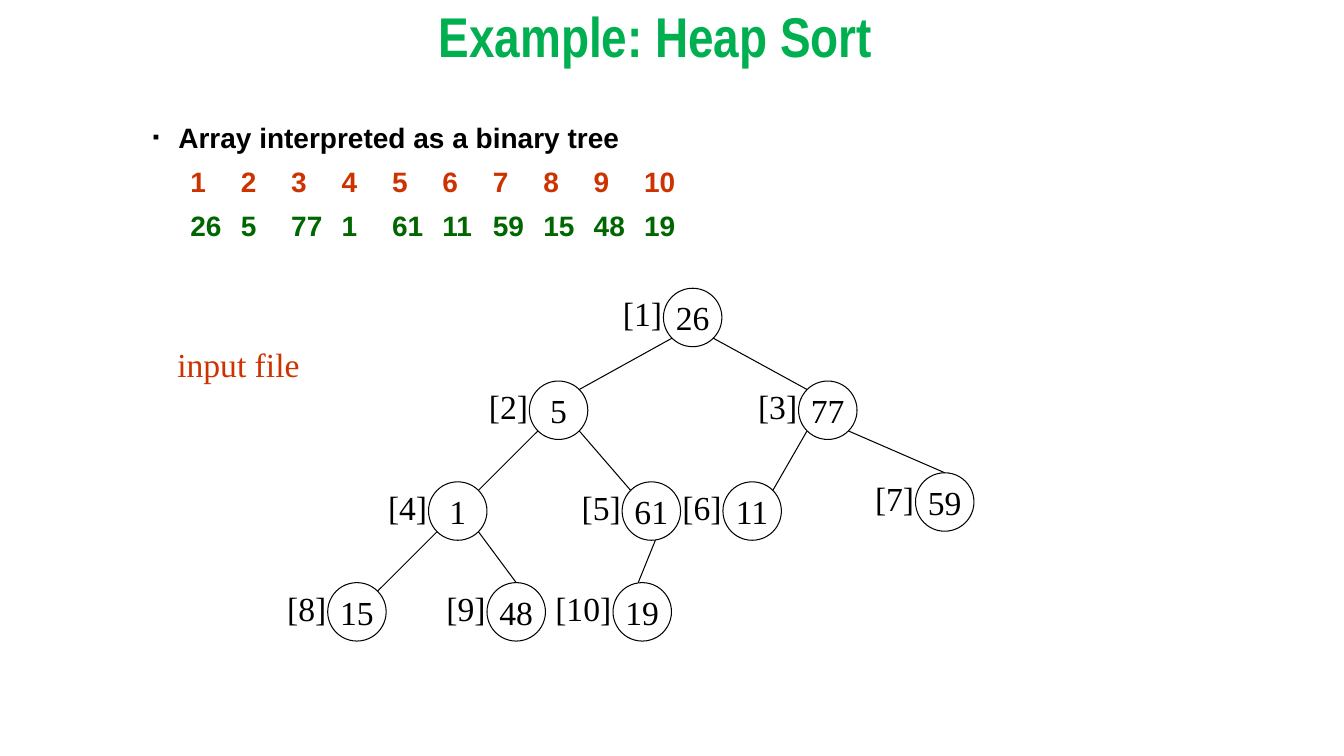
from dataclasses import dataclass

from lxml import etree
from pptx import Presentation
from pptx.dml.color import RGBColor
from pptx.enum.shapes import MSO_CONNECTOR, MSO_SHAPE
from pptx.enum.text import MSO_ANCHOR, MSO_AUTO_SIZE, PP_ALIGN
from pptx.oxml.ns import qn
from pptx.util import Inches, Pt

LEFT, CENTER = PP_ALIGN.LEFT, PP_ALIGN.CENTER
TOP, MIDDLE = MSO_ANCHOR.TOP, MSO_ANCHOR.MIDDLE
FIT_SHAPE = MSO_AUTO_SIZE.SHAPE_TO_FIT_TEXT
OVAL, STRAIGHT = MSO_SHAPE.OVAL, MSO_CONNECTOR.STRAIGHT
BLACK, RED, GREEN, TITLE_GREEN = "000000", "CC3300", "006600", "00B050"
SERIF = "Times New Roman"

DIAMETER = 0.58
RADIUS = DIAMETER / 2
DIAGONAL = RADIUS * 0.71
SITES = {
    "top": (0, -RADIUS),
    "top left": (-DIAGONAL, -DIAGONAL),
    "top right": (DIAGONAL, -DIAGONAL),
    "bottom left": (-DIAGONAL, DIAGONAL),
    "bottom right": (DIAGONAL, DIAGONAL),
    "near bottom": (0.04, RADIUS),
    "near top": (-0.04, -RADIUS),
}


@dataclass(frozen=True)
class Node:
    value: int
    left: float
    top: float


@dataclass(frozen=True)
class Edge:
    child: int
    start: str
    end: str


@dataclass(frozen=True)
class NumberRow:
    numbers: list[int]
    color: str
    tab_align: str
    tab_stops: list[float]


NODES = [
    Node(26, 6.58, 2.86),
    Node(5, 5.25, 3.78),
    Node(77, 7.92, 3.78),
    Node(1, 4.25, 4.78),
    Node(61, 6.17, 4.78),
    Node(11, 7.17, 4.78),
    Node(59, 9.08, 4.69),
    Node(15, 3.25, 5.78),
    Node(48, 4.83, 5.78),
    Node(19, 6.08, 5.78),
]
EDGES = [
    Edge(2, "bottom left", "top right"),
    Edge(3, "bottom right", "top left"),
    Edge(4, "bottom left", "top right"),
    Edge(5, "bottom right", "top left"),
    Edge(8, "bottom left", "top right"),
    Edge(9, "bottom right", "top"),
    Edge(10, "near bottom", "near top"),
    Edge(6, "bottom left", "top right"),
    Edge(7, "bottom right", "top"),
]
NUMBER_ROWS = [
    NumberRow(list(range(1, len(NODES) + 1)), RED, "l",
              [0.44 + 0.463 * column for column in range(len(NODES))]),
    NumberRow([node.value for node in NODES], GREEN, "r",
              [0.66, 1.13, 1.59, 2.05, 2.52, 3.05, 3.51, 3.97, 4.43, 4.97]),
]


def rgb(color: str) -> RGBColor:
    return RGBColor.from_string(color)


def write(paragraph, text: str, *, size: float = 24, font: str = SERIF, color: str = BLACK,
          bold: bool = False, align=LEFT, line_spacing: float = 1.0, before: float = 0) -> None:
    paragraph.alignment = align
    paragraph.line_spacing = line_spacing
    paragraph.space_before = Pt(before)
    run = paragraph.add_run()
    run.text = text
    run.font.size = Pt(size)
    run.font.name = font
    run.font.bold = bold
    run.font.color.rgb = rgb(color)


def add_box(slide, left: float, top: float, width: float, height: float, *,
            anchor=TOP, wrap: bool = True):
    box = slide.shapes.add_textbox(Inches(left), Inches(top), Inches(width), Inches(height))
    frame = box.text_frame
    frame.word_wrap = wrap
    frame.vertical_anchor = anchor
    if not wrap:
        frame.auto_size = FIT_SHAPE
    return frame


def add_bullet(paragraph) -> None:
    properties = paragraph._p.get_or_add_pPr()
    properties.set("marL", str(Inches(0.38)))
    properties.set("indent", str(Inches(-0.25)))
    color = etree.SubElement(properties, qn("a:buClr"))
    etree.SubElement(color, qn("a:srgbClr"), val=BLACK)
    etree.SubElement(properties, qn("a:buSzPct"), val="35000")
    etree.SubElement(properties, qn("a:buFont"), typeface="Arial")
    etree.SubElement(properties, qn("a:buChar"), char="■")


def add_tab_stops(paragraph, row: NumberRow) -> None:
    properties = paragraph._p.get_or_add_pPr()
    properties.set("marL", "0")
    properties.set("indent", "0")
    etree.SubElement(properties, qn("a:buNone"))
    tabs = etree.SubElement(properties, qn("a:tabLst"))
    for position in row.tab_stops:
        etree.SubElement(tabs, qn("a:tab"), pos=str(Inches(position)), algn=row.tab_align)


def add_array(slide) -> None:
    frame = add_box(slide, 1.29, 1.11, 9.46, 5)
    style = {"size": 20, "font": "Arial", "bold": True, "line_spacing": 1.1, "before": 5}
    heading = frame.paragraphs[0]
    write(heading, "Array interpreted as a binary tree", **style)
    add_bullet(heading)
    for row in NUMBER_ROWS:
        paragraph = frame.add_paragraph()
        write(paragraph, "".join(f"\t{number}" for number in row.numbers),
              color=row.color, **style)
        add_tab_stops(paragraph, row)


def add_node(slide, index: int, node: Node) -> None:
    circle = slide.shapes.add_shape(OVAL, Inches(node.left), Inches(node.top),
                                    Inches(DIAMETER), Inches(DIAMETER))
    circle.shadow.inherit = False
    circle.fill.background()
    circle.line.color.rgb = rgb(BLACK)
    circle.line.width = Pt(0.75)
    circle.text_frame.word_wrap = False
    circle.text_frame.vertical_anchor = MIDDLE
    write(circle.text_frame.paragraphs[0], str(node.value), align=CENTER)

    width = 0.59 if index < 10 else 0.76
    label = add_box(slide, node.left + 0.09 - width, node.top, width, 0.5, wrap=False)
    write(label.paragraphs[0], f"[{index}]")


def site_position(node: Node, site: str) -> tuple[int, int]:
    across, down = SITES[site]
    return Inches(node.left + RADIUS + across), Inches(node.top + RADIUS + down)


def add_edge(slide, edge: Edge) -> None:
    parent, child = NODES[edge.child // 2 - 1], NODES[edge.child - 1]
    connector = slide.shapes.add_connector(
        STRAIGHT, *site_position(parent, edge.start), *site_position(child, edge.end))
    connector.line.color.rgb = rgb(BLACK)
    connector.line.width = Pt(0.75)
    etree.SubElement(connector._element.spPr, qn("a:effectLst"))


def main() -> None:
    presentation = Presentation()
    presentation.slide_width = Inches(13.33)
    presentation.slide_height = Inches(7.5)
    slide = presentation.slides.add_slide(presentation.slide_layouts[6])

    title = add_box(slide, 2, 0, 9, 0.86, anchor=MIDDLE)
    write(title.paragraphs[0], "Example: Heap Sort", size=40, font="Arial Narrow",
          color=TITLE_GREEN, bold=True, align=CENTER, line_spacing=0.7)
    add_array(slide)
    caption = add_box(slide, 1.66, 3.36, 1.41, 0.5, wrap=False)
    write(caption.paragraphs[0], "input file", color=RED)

    for index, node in enumerate(NODES, start=1):
        add_node(slide, index, node)
    for edge in EDGES:
        add_edge(slide, edge)
    presentation.save("out.pptx")


if __name__ == "__main__":
    main()
